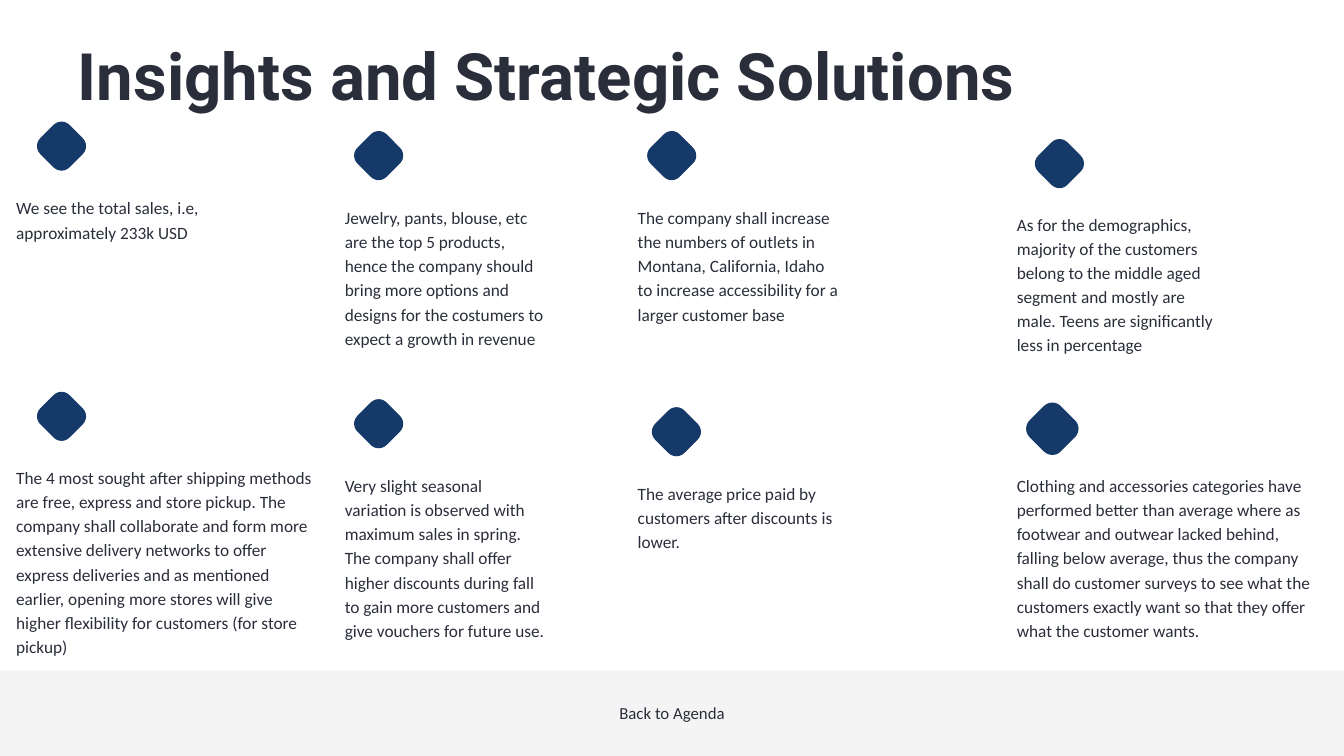
from pptx import Presentation
from pptx.dml.color import RGBColor
from pptx.enum.shapes import MSO_SHAPE
from pptx.enum.text import PP_ALIGN
from pptx.util import Pt

RECT = MSO_SHAPE.RECTANGLE
ROUNDED = MSO_SHAPE.ROUNDED_RECTANGLE
LEFT, CENTER = PP_ALIGN.LEFT, PP_ALIGN.CENTER

WIDTH, HEIGHT = 1440, 810
INK, NAVY, PALE = "2A2E3A", "153969", "F4F4F4"
NARROW, WIDE = 216.7, 325.4
DIAMOND, BIG_DIAMOND = 52.6, 56.2
SIDE_RATIO = 0.84       # square side to the extent of the turned diamond
CORNER = 0.27

COLUMNS = (17.3, 369.4, 683.3, 1089.4)

# Each insight: text top, width, height; diamond left, top, extent; wording
ROWS = (
    (
        (208.1, NARROW, 74.9, 39.6, 130.3, DIAMOND,
         "We see the total sales, i.e, approximately 233k USD"),
        (218.2, NARROW, 177.1, 379.4, 140.4, DIAMOND,
         "Jewelry, pants, blouse, etc are the top 5 products, hence the company "
         "should bring more options and designs for the costumers to expect a "
         "growth in revenue"),
        (218.2, NARROW, 151.2, 693.4, 140.4, DIAMOND,
         "The company shall increase the numbers of outlets in Montana, "
         "California, Idaho to increase accessibility for a larger customer base"),
        (225.4, NARROW, 177.1, 1108.8, 149, DIAMOND,
         "As for the demographics, majority of the customers belong to the "
         "middle aged segment and mostly are male. Teens are significantly less "
         "in percentage"),
    ),
    (
        (496.8, WIDE, 202.3, 39.6, 419.8, DIAMOND,
         "The 4 most sought after shipping methods are free, express and store "
         "pickup. The company shall collaborate and form more extensive delivery "
         "networks to offer express deliveries and as mentioned earlier, opening "
         "more stores will give higher flexibility for customers (for store "
         "pickup)"),
        (505.4, NARROW, 202.3, 379.4, 427.7, DIAMOND,
         "Very slight seasonal variation is observed with maximum sales in "
         "spring. The company shall offer higher discounts during fall to gain "
         "more customers and give vouchers for future use."),
        (514.1, NARROW, 74.9, 698.4, 436.3, DIAMOND,
         "The average price paid by customers after discounts is lower."),
        (505.4, WIDE, 202.3, 1099.4, 431.3, BIG_DIAMOND,
         "Clothing and accessories categories have performed better than average "
         "where as footwear and outwear lacked behind, falling below average, "
         "thus the company shall do customer surveys to see what the customers "
         "exactly want so that they offer what the customer wants."),
    ),
)


def color(hex_value):
    return RGBColor.from_string(hex_value)


def add_filled(slide, preset, box, fill):
    shape = slide.shapes.add_shape(preset, *(Pt(v) for v in box))
    shape.shadow.inherit = False
    shape.fill.solid()
    shape.fill.fore_color.rgb = color(fill)
    shape.line.fill.background()
    return shape


def add_text(slide, box, text, size, spacing, font="Calibri", bold=False, align=LEFT):
    frame = slide.shapes.add_textbox(*(Pt(v) for v in box)).text_frame
    frame.word_wrap = True
    frame.margin_left = frame.margin_right = 0
    frame.margin_top = frame.margin_bottom = 0
    paragraph = frame.paragraphs[0]
    paragraph.alignment = align
    paragraph.line_spacing = Pt(spacing)
    run = paragraph.add_run()
    run.text = text
    run.font.name = font
    run.font.size = Pt(size)
    run.font.bold = bold
    run.font.color.rgb = color(INK)


def add_title(slide, box):
    add_text(slide, box, "Insights and Strategic Solutions", 70, 91,
             font="Roboto", bold=True, align=CENTER)


def add_diamond(slide, left, top, extent):
    side = extent * SIDE_RATIO
    inset = (extent - side) / 2
    diamond = add_filled(slide, ROUNDED, (left + inset, top + inset, side, side), NAVY)
    diamond.adjustments[0] = CORNER
    diamond.rotation = 45


def add_insight(slide, text_box, diamond_box, text):
    add_diamond(slide, *diamond_box)
    add_text(slide, text_box, text, 18.5, 25.9)


def add_footer(slide, box):
    left, top, width, height = box
    add_filled(slide, RECT, box, PALE)
    label_width = 218
    label_box = (left + (width - label_width) / 2, top + 32.4, label_width, 23.8)
    add_text(slide, label_box, "Back to Agenda", 18, 23.4, align=CENTER)


def main():
    deck = Presentation()
    deck.slide_width, deck.slide_height = Pt(WIDTH), Pt(HEIGHT)
    slide = deck.slides.add_slide(deck.slide_layouts[6])

    add_title(slide, (-94.3, 31, 1359.4, 90))
    add_footer(slide, (0, 718.6, WIDTH, HEIGHT - 718.6))

    # Two rows of four insights
    for row in ROWS:
        for left, (top, width, height, *diamond_box, text) in zip(COLUMNS, row):
            add_insight(slide, (left, top, width, height), diamond_box, text)

    deck.save("out.pptx")


if __name__ == "__main__":
    main()
